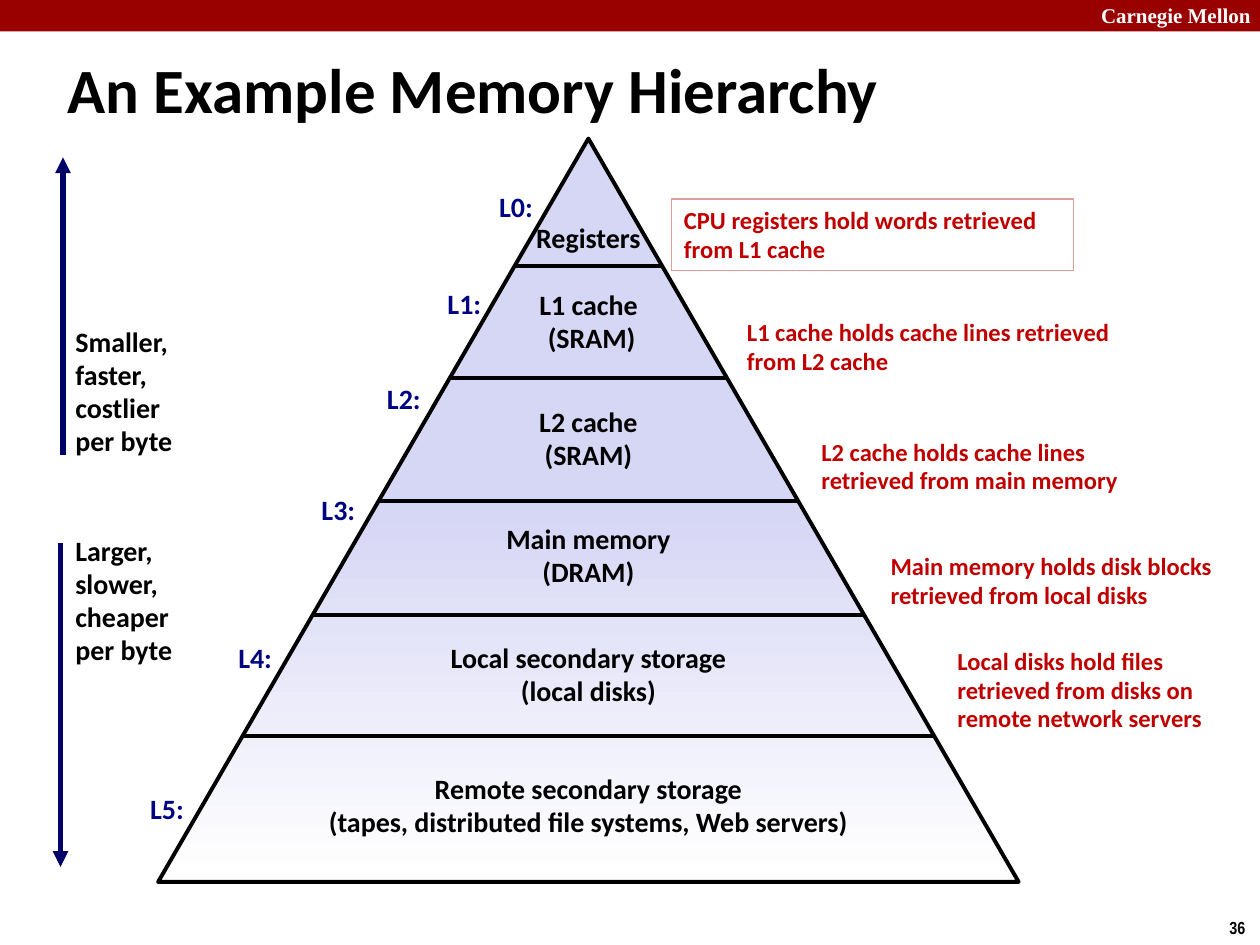
from lxml.etree import SubElement
from pptx import Presentation
from pptx.dml.color import RGBColor
from pptx.enum.shapes import MSO_CONNECTOR, MSO_SHAPE
from pptx.enum.text import MSO_ANCHOR, MSO_AUTO_SIZE, PP_ALIGN
from pptx.oxml.ns import qn
from pptx.util import Inches, Pt

BLACK = RGBColor(0x00, 0x00, 0x00)
WHITE = RGBColor(0xFF, 0xFF, 0xFF)
BANNER_RED = RGBColor(0x99, 0x00, 0x00)
NOTE_RED = RGBColor(0xC0, 0x00, 0x00)
NOTE_BORDER = RGBColor(0xDF, 0x9F, 0x98)
LEVEL_BLUE = RGBColor(0x00, 0x04, 0x82)
ARROW_BLUE = RGBColor(0x00, 0x00, 0x66)
LAVENDER = RGBColor(0xD6, 0xD6, 0xF5)

deck = Presentation()
deck.slide_width, deck.slide_height = Inches(10), Inches(7.5)
slide = deck.slides.add_slide(deck.slide_layouts[6])

# Grid of 100 columns by 75 rows
COL = deck.slide_width // 100
ROW = deck.slide_height // 75


def add_text(lines, left, top, width, height, size, color=BLACK, font="Calibri",
             align=PP_ALIGN.LEFT, wrap=False, anchor=MSO_ANCHOR.MIDDLE, spacing=0.98):
    box = slide.shapes.add_textbox(
        round(left * COL), round(top * ROW), round(width * COL), round(height * ROW))
    frame = box.text_frame
    frame.word_wrap = wrap
    frame.auto_size = MSO_AUTO_SIZE.SHAPE_TO_FIT_TEXT
    frame.vertical_anchor = anchor
    frame.text = lines
    for paragraph in frame.paragraphs:
        paragraph.alignment = align
        paragraph.line_spacing = spacing
        paragraph.font.name = font
        paragraph.font.size = Pt(size)
        paragraph.font.bold = True
        paragraph.font.color.rgb = color
    return box


def add_line(x1, y1, x2, y2, color, weight, arrow=False):
    line = slide.shapes.add_connector(
        MSO_CONNECTOR.STRAIGHT,
        round(x1 * COL), round(y1 * ROW), round(x2 * COL), round(y2 * ROW))
    line.line.color.rgb = color
    line.line.width = Pt(weight)
    properties = line._element.spPr
    if arrow:
        SubElement(properties.find(qn("a:ln")), qn("a:tailEnd"), type="triangle")
    SubElement(properties, qn("a:effectLst"))


# Banner, title and page number
banner = slide.shapes.add_shape(MSO_SHAPE.RECTANGLE, 0, 0, 100 * COL, round(2.5 * ROW))
banner.shadow.inherit = False
banner.fill.solid()
banner.fill.fore_color.rgb = BANNER_RED
banner.line.fill.background()
add_text("Carnegie Mellon", 86.4, -0.3, 14.3, 3, 12, WHITE, "Times New Roman",
         anchor=MSO_ANCHOR.TOP, spacing=1.0)
add_text("An Example Memory Hierarchy", 4.4, 2.7, 95.3, 8.6, 36, wrap=True, spacing=1.0)
add_text("36", 96.6, 72.3, 3.4, 2.7, 10, font="Arial Narrow",
         anchor=MSO_ANCHOR.TOP, spacing=1.0)

# Pyramid
APEX_X, APEX_Y, BASE, HEIGHT = 46.7, 11, 68.3, 59
pyramid = slide.shapes.add_shape(
    MSO_SHAPE.ISOSCELES_TRIANGLE, round((APEX_X - BASE / 2) * COL), APEX_Y * ROW,
    round(BASE * COL), HEIGHT * ROW)
pyramid.shadow.inherit = False
pyramid.fill.gradient()
pyramid.fill.gradient_angle = 270
for stop, (position, color) in zip(pyramid.fill.gradient_stops,
                                   [(0.49, LAVENDER), (1.0, WHITE)]):
    stop.position = position
    stop.color.rgb = color
pyramid.line.color.rgb = BLACK
pyramid.line.width = Pt(2.25)

# Dividers reach from one sloping side to the other
for y in (21.1, 30, 39.75, 48.8, 58.4):
    half = (y - APEX_Y) / HEIGHT * BASE / 2
    add_line(APEX_X - half, y, APEX_X + half, y, BLACK, 2)

# Tiers: text, top, width, height, then the left and top of the level label
tiers = [
    ("Registers", 17.1, 10.4, 3.7, 38.6, 14.6),
    ("L1 cache\n (SRAM)", 22.4, 9.9, 6.3, 34.5, 22.3),
    ("L2 cache\n(SRAM)", 31.7, 10, 6.3, 29.7, 29.9),
    ("Main memory\n(DRAM)", 41, 15, 6.3, 24.5, 38.7),
    ("Local secondary storage\n(local disks)", 50.4, 24.1, 6.3, 17.9, 50.4),
    ("Remote secondary storage\n(tapes, distributed file systems, Web servers)",
     60.8, 43.7, 6.3, 10.9, 62.4),
]
for level, (tier, top, width, height, label_left, label_top) in enumerate(tiers):
    add_text(tier, APEX_X - width / 2, top, width, height, 16, align=PP_ALIGN.CENTER)
    add_text(f"L{level}:", label_left, label_top, 4.7, 3.7, 16, LEVEL_BLUE,
             align=PP_ALIGN.CENTER)

# Notes on what each level holds, the first one framed
notes = [
    ("CPU registers hold words retrieved from L1 cache", 53.3, 15.8, 31.9, 5.7),
    ("L1 cache holds cache lines retrieved from L2 cache", 58.3, 24.7, 31, 5.7),
    ("L2 cache holds cache lines retrieved from main memory", 64.2, 34.2, 28.8, 5.7),
    ("Main memory holds disk blocks retrieved from local disks", 69.7, 43.3, 30, 5.7),
    ("Local disks hold files retrieved from disks on remote network servers",
     75, 50.8, 22.6, 8),
]
note_boxes = [add_text(*note, 14, NOTE_RED, wrap=True) for note in notes]
note_boxes[0].line.color.rgb = NOTE_BORDER
note_boxes[0].line.width = Pt(0.75)

# Trade-off arrows
add_line(5, 36.1, 5, 12.5, ARROW_BLUE, 3, arrow=True)
add_line(4.8, 43.1, 4.8, 68.8, ARROW_BLUE, 3, arrow=True)
add_text("Smaller,\nfaster,\ncostlier\nper byte", 5, 25.3, 9.8, 11.6, 16)
add_text("Larger,\nslower,\ncheaper\nper byte", 5, 41.9, 10, 11.6, 16)

deck.save("out.pptx")
